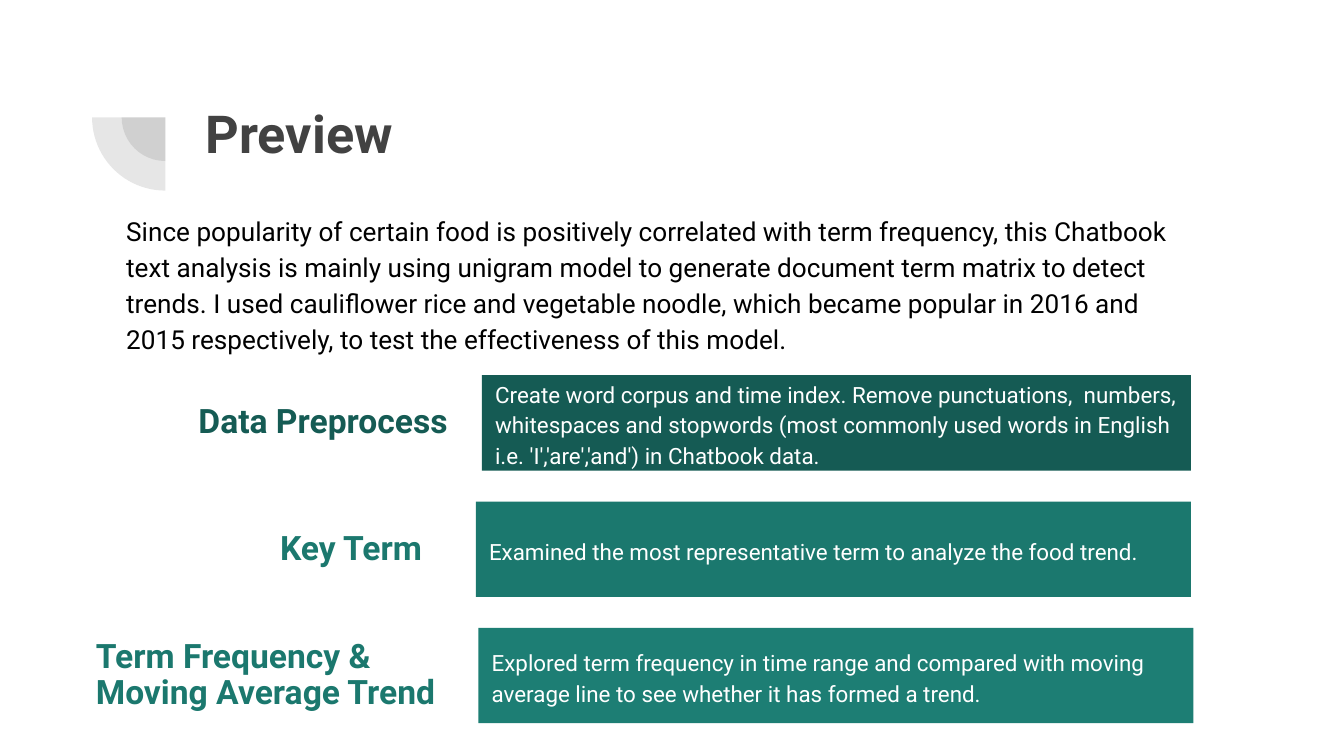
from lxml.etree import SubElement
from pptx import Presentation
from pptx.dml.color import RGBColor
from pptx.enum.shapes import MSO_SHAPE
from pptx.enum.text import MSO_ANCHOR, MSO_AUTO_SIZE, PP_ALIGN
from pptx.oxml.ns import qn
from pptx.util import Inches, Pt

GREY = RGBColor(0x42, 0x42, 0x42)
BLACK = RGBColor(0x00, 0x00, 0x00)
WHITE = RGBColor(0xFF, 0xFF, 0xFF)
DARK_TEAL = RGBColor(0x15, 0x5B, 0x54)
TEAL = RGBColor(0x1B, 0x78, 0x6E)
LIGHT_TEAL = RGBColor(0x1D, 0x7E, 0x74)

# Widescreen slide, 16 to 9
presentation = Presentation()
presentation.slide_width = Inches(10)
presentation.slide_height = presentation.slide_width * 9 // 16
slide = presentation.slides.add_slide(presentation.slide_layouts[5])

# Grid of 100 columns, with square cells
CELL = presentation.slide_width / 100


def grid(*cells):
    return [round(cell * CELL) for cell in cells]


def write(shape, text, size, color, bold=False, spacing=1.0,
          anchor=MSO_ANCHOR.MIDDLE, align=PP_ALIGN.LEFT, margin=0.5):
    frame = shape.text_frame
    frame.text = text
    frame.word_wrap = True
    frame.auto_size = MSO_AUTO_SIZE.NONE
    frame.vertical_anchor = anchor
    frame.margin_left, frame.margin_right = grid(1, 1)
    frame.margin_top, frame.margin_bottom = grid(margin, margin)
    paragraph = frame.paragraphs[0]
    paragraph.alignment = align
    paragraph.line_spacing = spacing
    font = paragraph.runs[0].font
    font.name, font.size, font.bold = "Roboto", Pt(size), bold
    font.color.rgb = color


# Translucent quarter circles around one centre
for radius in (3.25, 5.45):
    quarter = slide.shapes.add_shape(
        MSO_SHAPE.PIE,
        *grid(12.3 - radius, 8.73 - radius, 2 * radius, 2 * radius))
    quarter.adjustments[0] = 54  # 90 degrees
    quarter.adjustments[1] = 108  # 180 degrees
    quarter.shadow.inherit = False
    quarter.line.fill.background()
    quarter.fill.solid()
    quarter.fill.fore_color.rgb = GREY
    color_element = quarter.fill._xPr.find(qn("a:solidFill"))[0]
    SubElement(color_element, qn("a:alpha"), val="13000")

# Title
title = slide.shapes.title
title.left, title.top, title.width, title.height = grid(14.3, 6.5, 76.9, 10.9)
write(title, "Preview", 28, GREY, bold=True, anchor=MSO_ANCHOR.TOP, margin=1)

# Introduction
introduction = slide.shapes.add_textbox(*grid(8.4, 14.7, 82.2, 10.9))
write(introduction,
      "Since popularity of certain food is positively correlated with term "
      "frequency, this Chatbook text analysis is mainly using unigram model to "
      "generate document term matrix to detect trends. I used cauliflower rice "
      "and vegetable noodle, which became popular in 2016 and 2015 "
      "respectively, to test the effectiveness of this model.",
      14, BLACK, spacing=1.15, anchor=MSO_ANCHOR.TOP, margin=1)

# Steps: label, its left, width, alignment and colour;
# then the bar's left, width, colour and text
steps = [
    ("Data Preprocess", 7.2, 27.1, PP_ALIGN.RIGHT, DARK_TEAL,
     35.85, 52.75, DARK_TEAL,
     "Create word corpus and time index. Remove punctuations,  numbers, "
     "whitespaces and stopwords (most commonly used words in English i.e. "
     "'I','are','and') in Chatbook data."),
    ("Key Term", 19.85, 14.9, PP_ALIGN.LEFT, TEAL,
     35.4, 53.2, TEAL,
     "Examined the most representative term to analyze the food trend."),
    ("Term Frequency & Moving Average Trend", 6.15, 29.5, PP_ALIGN.LEFT, TEAL,
     35.6, 53.2, LIGHT_TEAL,
     "Explored term frequency in time range and compared with moving average "
     "line to see whether it has formed a trend."),
]
FIRST_ROW, ROW_PITCH, BAR_HEIGHT, LABEL_HEIGHT = 27.92, 9.4, 7.1, 6.1

for index, (name, label_left, label_width, align, label_color,
            bar_left, bar_width, bar_color, text) in enumerate(steps):
    top = FIRST_ROW + index * ROW_PITCH
    label_top = top + (BAR_HEIGHT - LABEL_HEIGHT) / 2
    label = slide.shapes.add_textbox(
        *grid(label_left, label_top, label_width, LABEL_HEIGHT))
    write(label, name, 18, label_color, bold=True, spacing=0.9, align=align)

    bar = slide.shapes.add_shape(
        MSO_SHAPE.RECTANGLE, *grid(bar_left, top, bar_width, BAR_HEIGHT))
    bar.shadow.inherit = False
    bar.line.fill.background()
    bar.fill.solid()
    bar.fill.fore_color.rgb = bar_color
    write(bar, text, 12, WHITE, spacing=1.15)
    bar.text_frame.margin_right = round(CELL / 2)

presentation.save("out.pptx")
